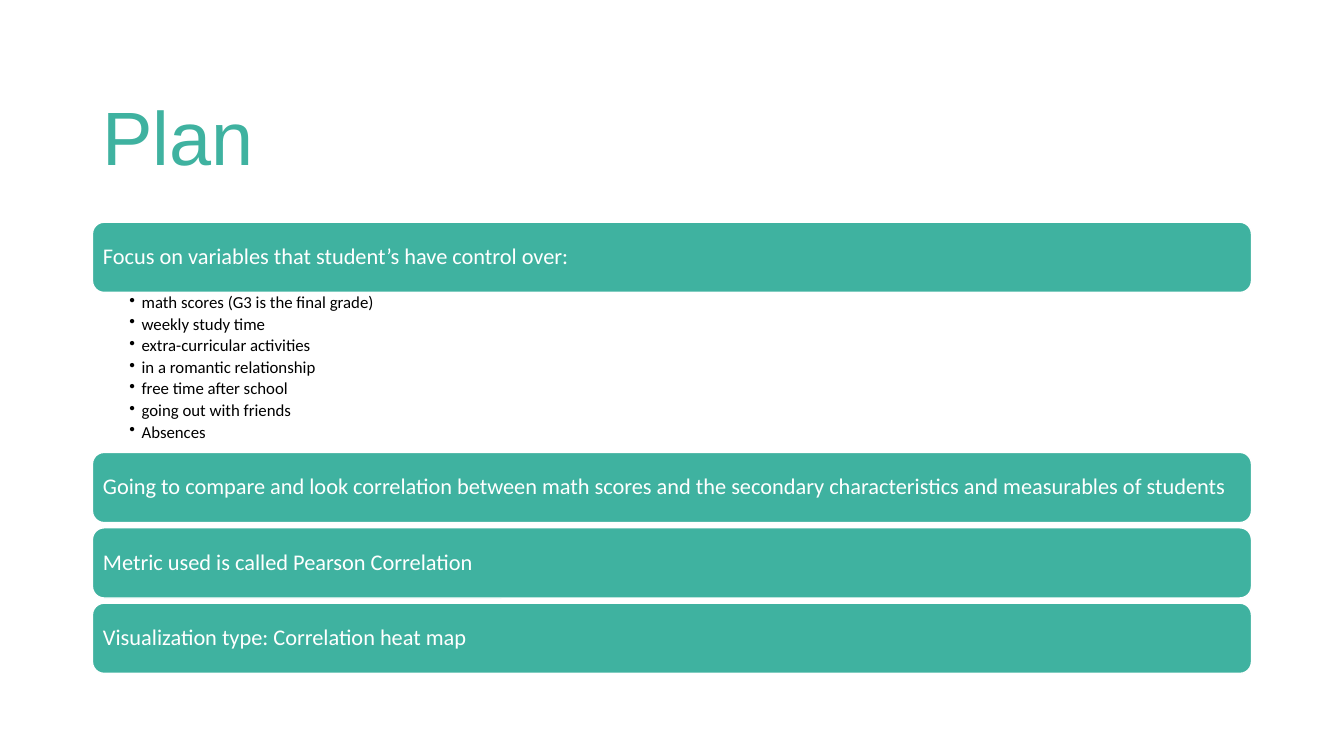
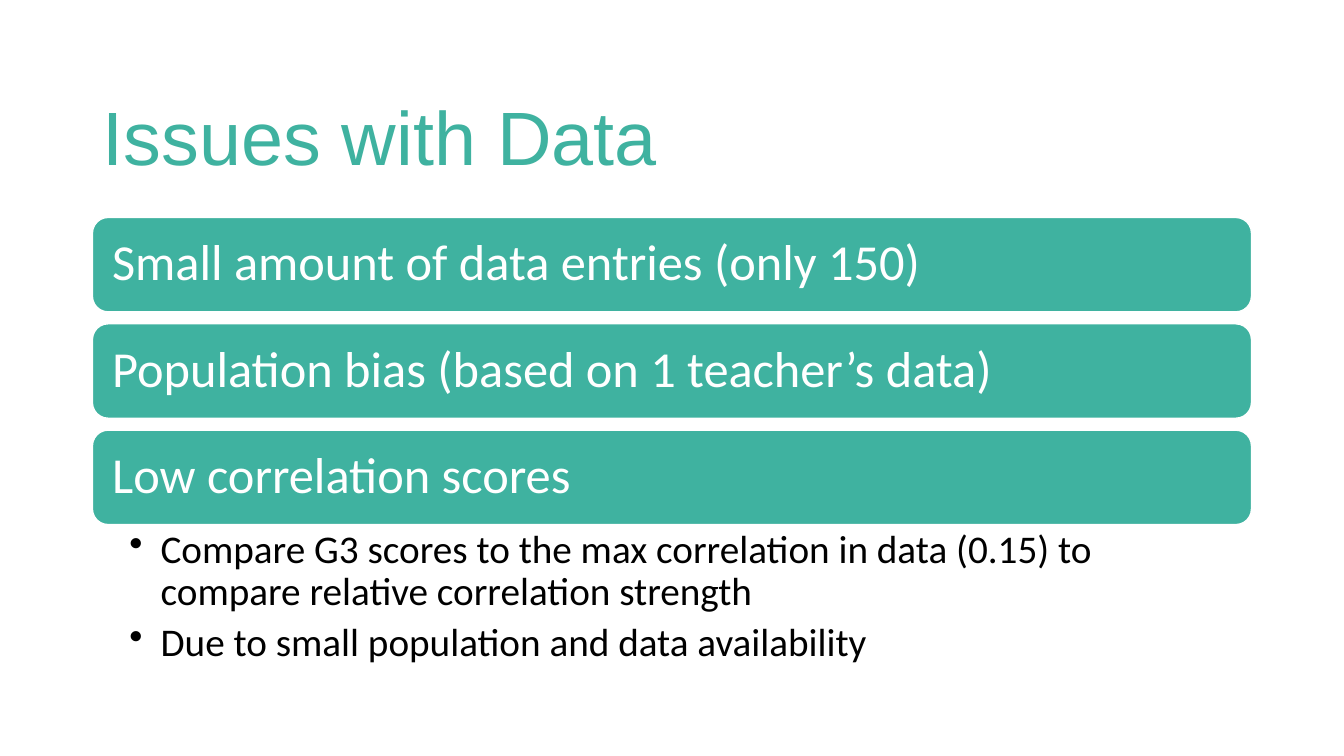
import lxml.etree
import pptx
import pptx.dml.color
import pptx.enum.shapes
import pptx.enum.text
import pptx.oxml.ns
import pptx.util

Cm = pptx.util.Cm
Pt = pptx.util.Pt
Anchor = pptx.enum.text.MSO_ANCHOR

TEAL = "3FB2A0"
WHITE = "FFFFFF"
BLACK = "000000"


def paint(code):
    return pptx.dml.color.RGBColor.from_string(code)


def write(frame, *lines, size, color, font="Calibri", anchor=Anchor.TOP,
          pads=None, after=0, space=0.9, hang=0):
    frame.word_wrap = True
    frame.auto_size = pptx.enum.text.MSO_AUTO_SIZE.NONE
    frame.vertical_anchor = anchor
    if pads:
        (frame.margin_left, frame.margin_top,
         frame.margin_right, frame.margin_bottom) = map(Cm, pads)
    for i, line in enumerate(lines):
        para = frame.add_paragraph() if i else frame.paragraphs[0]
        if hang:
            props = para._p.get_or_add_pPr()
            props.set("marL", str(Cm(hang)))
            props.set("indent", str(-Cm(hang)))
            mark = lxml.etree.SubElement(props, pptx.oxml.ns.qn("a:buChar"))
            mark.set("char", "•")
        para.alignment = pptx.enum.text.PP_ALIGN.LEFT
        para.line_spacing = space
        para.space_after = Pt(after)
        run = para.add_run()
        run.text = line
        run.font.size = Pt(size)
        run.font.name = font
        run.font.color.rgb = paint(color)


class Deck:
    left = 2.33
    width = 29.21

    def __init__(self):
        self.show = pptx.Presentation()
        self.show.slide_width = Cm(33.87)
        self.show.slide_height = Cm(19.05)

    def start(self, title, top):
        self.slide = self.show.slides.add_slide(self.show.slide_layouts[5])
        self.top = top
        head = self.slide.shapes.title
        head.left, head.top = Cm(self.left), Cm(1.02)
        head.width, head.height = Cm(self.width), Cm(3.68)
        write(head.text_frame, title, size=54, color=TEAL, font="Arial",
              anchor=Anchor.BOTTOM)

    def place(self, height):
        box = [Cm(n) for n in (self.left, self.top, self.width, height)]
        self.top += height
        return box

    def bars(self, *lines, height, gap, size, pad):
        for i, line in enumerate(lines):
            if i:
                self.top += gap
            bar = self.slide.shapes.add_shape(
                pptx.enum.shapes.MSO_SHAPE.ROUNDED_RECTANGLE,
                *self.place(height))
            bar.shadow.inherit = False
            bar.fill.solid()
            bar.fill.fore_color.rgb = paint(TEAL)
            bar.line.color.rgb = paint(WHITE)
            bar.line.width = Pt(1)
            write(bar.text_frame, line, size=size, color=WHITE,
                  anchor=Anchor.MIDDLE, pads=[pad] * 4)

    def points(self, *lines, height, size, hang, pads):
        box = self.slide.shapes.add_textbox(*self.place(height))
        write(box.text_frame, *lines, size=size, color=BLACK, pads=pads,
              after=size * 0.2, hang=hang)


def main():
    deck = Deck()

    small = dict(height=1.77, gap=0.13, size=16, pad=0.18)
    deck.start("Plan", 5.6)
    deck.bars("Focus on variables that student’s have control over:", **small)
    deck.points(
        "math scores (G3 is the final grade)",
        "weekly study time",
        "extra-curricular activities",
        "in a romantic relationship",
        "free time after school",
        "going out with friends",
        "Absences",
        height=4.03, size=12, hang=0.31, pads=(0.93, 0.05, 0.3, 0.05))
    deck.bars(
        "Going to compare and look correlation between math scores and "
        "the secondary characteristics and measurables of students",
        "Metric used is called Pearson Correlation",
        "Visualization type: Correlation heat map",
        **small)

    deck.start("Issues with Data", 5.48)
    deck.bars(
        "Small amount of data entries (only 150)",
        "Population bias (based on 1 teacher’s data)",
        "Low correlation scores",
        height=2.38, gap=0.3, size=36, pad=0.38)
    deck.points(
        "Compare G3 scores to the max correlation in data (0.15) to "
        "compare relative correlation strength",
        "Due to small population and data availability",
        height=3.84, size=28, hang=0.79, pads=(0.93, 0.13, 0.71, 0.13))

    deck.show.save("out.pptx")


if __name__ == "__main__":
    main()
